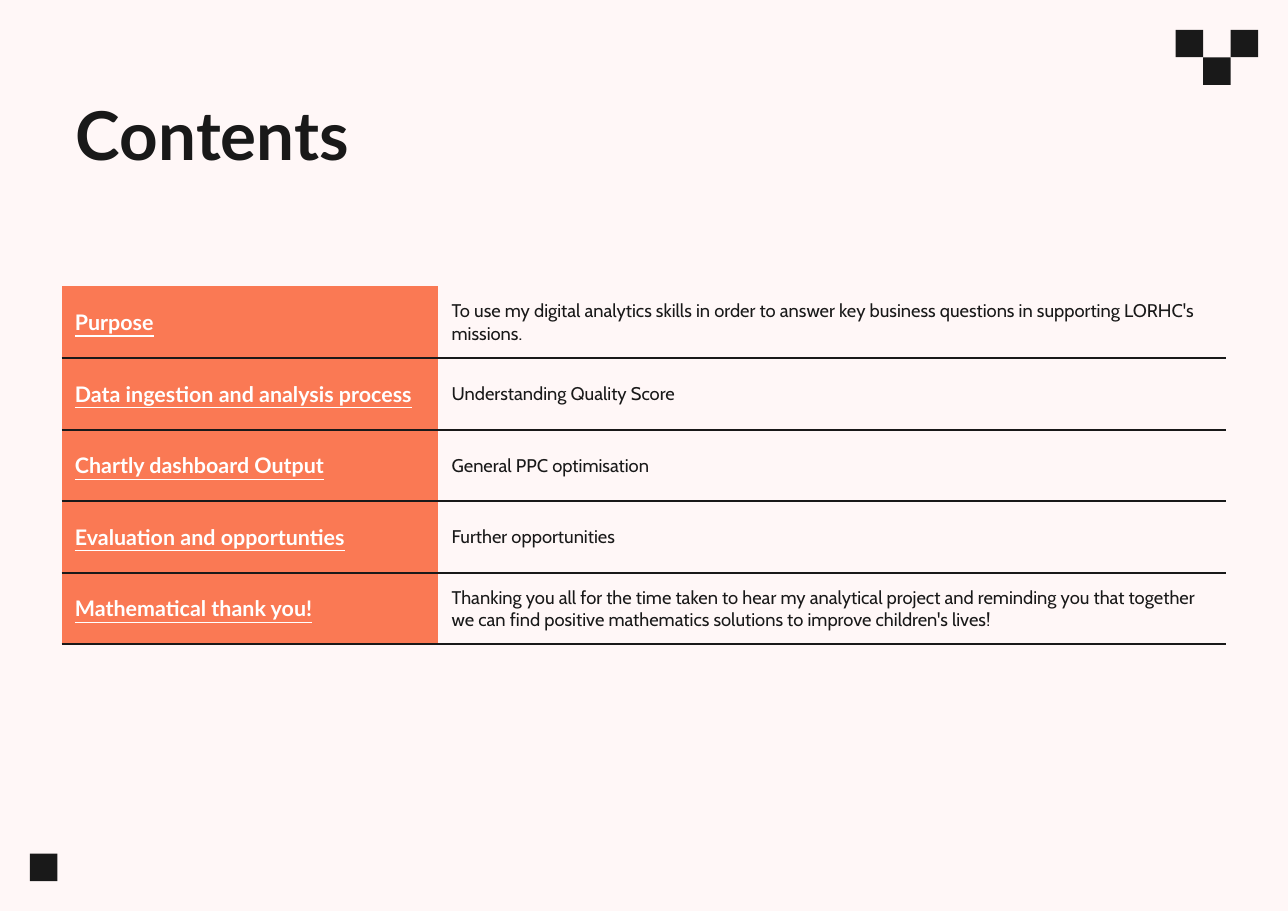
"""Build a contents slide with a two-column agenda table and square corner marks."""
from dataclasses import dataclass

import lxml.etree
import pptx
import pptx.dml.color
import pptx.enum.shapes
import pptx.enum.text
import pptx.oxml
import pptx.oxml.ns
import pptx.presentation
import pptx.slide
import pptx.table
import pptx.text.text
import pptx.util

Inches = pptx.util.Inches
Anchor = pptx.enum.text.MSO_ANCHOR
PLAIN_TABLE_STYLE = "{2D5ABB26-0587-4C30-8999-92F81FD0307C}"


@dataclass(frozen=True)
class TextStyle:
    font: str
    size: int
    color: str
    bold: bool = False
    underline: bool = False


@dataclass(frozen=True)
class Theme:
    background: str = "FFF7F7"
    ink: str = "191919"
    accent: str = "FA7954"
    rule_width: float = 1.5
    title: TextStyle = TextStyle("Lato", 44, "191919", bold=True)
    topic: TextStyle = TextStyle("Lato", 14, "FFFFFF", bold=True, underline=True)
    detail: TextStyle = TextStyle("Cabin", 12, "191919")


@dataclass(frozen=True)
class Grid:
    width: float = 11.69
    height: float = 8.27
    left: float = 0.56
    content_width: float = 10.57
    topic_width: float = 3.42
    title_top: float = 0.72
    title_height: float = 0.92
    table_top: float = 2.6
    row_height: float = 0.65
    edge: float = 0.27
    square: float = 0.25


@dataclass(frozen=True)
class AgendaItem:
    topic: str
    detail: str


@dataclass(frozen=True)
class Square:
    """A corner mark, counted in squares from the right and top margins."""
    from_right: float
    from_top: float


THEME = Theme()
GRID = Grid()
AGENDA = [
    AgendaItem("Purpose", "To use my digital analytics skills in order to answer key business "
               "questions in supporting LORHC's missions."),
    AgendaItem("Data ingestion and analysis process", "Understanding Quality Score"),
    AgendaItem("Chartly dashboard Output", "General PPC optimisation"),
    AgendaItem("Evaluation and opportunties", "Further opportunities"),
    AgendaItem("Mathematical thank you!", "Thanking you all for the time taken to hear my analytical "
               "project and reminding you that together we can find positive mathematics solutions "
               "to improve children's lives!"),
]
COLUMNS_ACROSS = (GRID.width - 2 * GRID.edge) / GRID.square
ROWS_DOWN = (GRID.height - 2 * GRID.edge) / GRID.square
SQUARES = [
    Square(1, 0),
    Square(2, 1),
    Square(3, 0),
    Square(COLUMNS_ACROSS, ROWS_DOWN - 1),
]


def rgb(color: str) -> pptx.dml.color.RGBColor:
    return pptx.dml.color.RGBColor.from_string(color)


def apply_format(target: object, values: dict[str, object]) -> None:
    for name, value in values.items():
        setattr(target, name, value)


def write_text(paragraph: pptx.text.text._Paragraph, text: str, style: TextStyle) -> None:
    paragraph.alignment = pptx.enum.text.PP_ALIGN.LEFT
    run = paragraph.add_run()
    run.text = text
    apply_format(run.font, {
        "name": style.font,
        "size": pptx.util.Pt(style.size),
        "bold": style.bold,
        "underline": style.underline,
    })
    run.font.color.rgb = rgb(style.color)


def draw_square(slide: pptx.slide.Slide, square: Square) -> None:
    shape = slide.shapes.add_shape(
        pptx.enum.shapes.MSO_SHAPE.RECTANGLE,
        Inches(GRID.width - GRID.edge - square.from_right * GRID.square),
        Inches(GRID.edge + square.from_top * GRID.square),
        Inches(GRID.square), Inches(GRID.square))
    shape.shadow.inherit = False
    shape.fill.solid()
    shape.fill.fore_color.rgb = rgb(THEME.ink)
    shape.line.fill.background()


def draw_title(slide: pptx.slide.Slide, text: str) -> None:
    title = slide.shapes.title
    apply_format(title, {
        "left": Inches(GRID.left),
        "top": Inches(GRID.title_top),
        "width": Inches(GRID.content_width),
        "height": Inches(GRID.title_height),
    })
    margins = ("margin_left", "margin_top", "margin_right", "margin_bottom")
    apply_format(title.text_frame, dict.fromkeys(margins, Inches(0.13)) | {
        "vertical_anchor": Anchor.TOP,
        "auto_size": pptx.enum.text.MSO_AUTO_SIZE.NONE,
        "word_wrap": True,
    })
    write_text(title.text_frame.paragraphs[0], text, THEME.title)


def rule_below(cell: pptx.table._Cell) -> None:
    namespace = pptx.oxml.ns.nsdecls("a")
    border = pptx.oxml.parse_xml(
        f'<a:lnB {namespace} w="{pptx.util.Pt(THEME.rule_width)}"><a:solidFill>'
        f'<a:srgbClr val="{THEME.ink}"/></a:solidFill></a:lnB>')
    cell._tc.get_or_add_tcPr().insert(0, border)


def fill_cell(cell: pptx.table._Cell, text: str, style: TextStyle, fill: str | None) -> None:
    apply_format(cell, {
        "margin_left": Inches(0.12),
        "margin_right": Inches(0.12),
        "margin_top": 0,
        "margin_bottom": 0,
        "vertical_anchor": Anchor.MIDDLE,
    })
    if fill:
        cell.fill.solid()
        cell.fill.fore_color.rgb = rgb(fill)
    else:
        cell.fill.background()
    rule_below(cell)
    write_text(cell.text_frame.paragraphs[0], text, style)


def draw_agenda(slide: pptx.slide.Slide, items: list[AgendaItem]) -> None:
    table = slide.shapes.add_table(
        len(items), 2, Inches(GRID.left), Inches(GRID.table_top),
        Inches(GRID.content_width), Inches(GRID.row_height * len(items))).table
    apply_format(table, {"first_row": False, "horz_banding": False})
    table._tbl.tblPr.find(pptx.oxml.ns.qn("a:tableStyleId")).text = PLAIN_TABLE_STYLE
    table.columns[0].width = Inches(GRID.topic_width)
    table.columns[1].width = Inches(GRID.content_width - GRID.topic_width)
    for row, item in enumerate(items):
        fill_cell(table.cell(row, 0), item.topic, THEME.topic, THEME.accent)
        fill_cell(table.cell(row, 1), item.detail, THEME.detail, None)


def main() -> None:
    presentation = pptx.Presentation()
    presentation.slide_width = Inches(GRID.width)
    presentation.slide_height = Inches(GRID.height)
    slide = presentation.slides.add_slide(presentation.slide_layouts.get_by_name("Title Only"))
    slide.background.fill.solid()
    slide.background.fill.fore_color.rgb = rgb(THEME.background)
    for square in SQUARES:
        draw_square(slide, square)
    draw_title(slide, "Contents")
    draw_agenda(slide, AGENDA)
    presentation.save("out.pptx")


if __name__ == "__main__":
    main()
